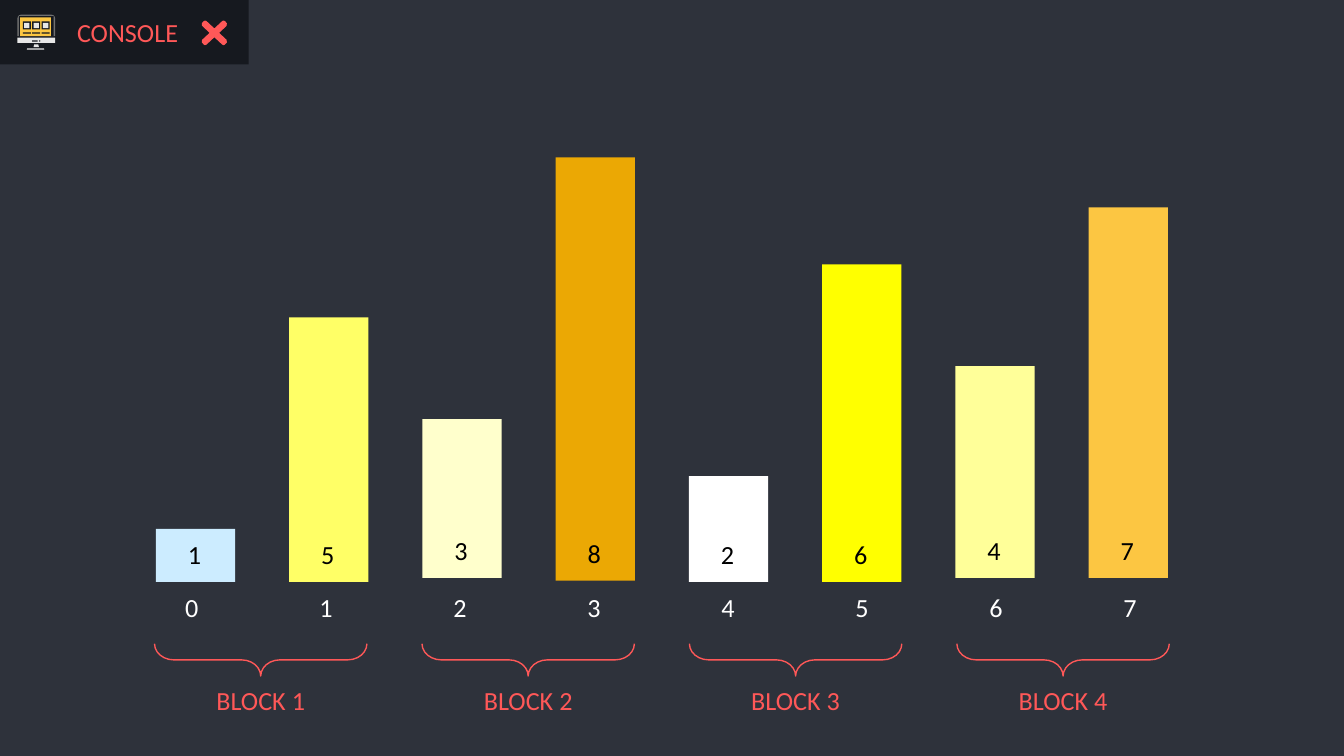
from pptx import Presentation
from pptx.dml.color import RGBColor
from pptx.enum.shapes import MSO_SHAPE
from pptx.enum.text import MSO_ANCHOR, MSO_AUTO_SIZE, PP_ALIGN
from pptx.util import Inches, Pt

RECTANGLE, BRACE = MSO_SHAPE.RECTANGLE, MSO_SHAPE.LEFT_BRACE
TRAPEZOID, OVAL = MSO_SHAPE.TRAPEZOID, MSO_SHAPE.OVAL
CROSS, ROUND_TOP = MSO_SHAPE.MATH_MULTIPLY, MSO_SHAPE.ROUND_2_SAME_RECTANGLE
CENTER, LEFT, MIDDLE, TOP = PP_ALIGN.CENTER, PP_ALIGN.LEFT, MSO_ANCHOR.MIDDLE, MSO_ANCHOR.TOP
FIXED_SIZE = MSO_AUTO_SIZE.NONE

BACKGROUND = RGBColor(0x2E, 0x32, 0x3B)
DARK = RGBColor(0x16, 0x19, 0x1F)
RED = RGBColor(0xFF, 0x58, 0x58)
GREY = RGBColor(0x70, 0x70, 0x70)
LIGHT = RGBColor(0xE7, 0xE7, 0xE7)
AMBER = RGBColor(0xFC, 0xC6, 0x42)
BLACK = RGBColor(0x00, 0x00, 0x00)
WHITE = RGBColor(0xFF, 0xFF, 0xFF)

# value, bottom edge, colour
BARS = [
    (1, 4.33, RGBColor(0xCC, 0xEC, 0xFF)),
    (5, 4.33, RGBColor(0xFF, 0xFF, 0x66)),
    (3, 4.3, RGBColor(0xFF, 0xFF, 0xCC)),
    (8, 4.32, RGBColor(0xEB, 0xA8, 0x04)),
    (2, 4.33, WHITE),
    (6, 4.33, RGBColor(0xFF, 0xFF, 0x00)),
    (4, 4.3, RGBColor(0xFF, 0xFF, 0x99)),
    (7, 4.3, AMBER),
]
BAR_LEFT, BAR_STEP, BAR_WIDTH = 1.16, 6.94 / 7, 0.59
UNIT_HEIGHT = 3.15 / 8
INDEX_LEFT, INDEX_STEP = 1.28, 6.98 / 7
BLOCK_STEP = 1.99

# preset, left, top, width, height, colour
ICON_PARTS = [
    (ROUND_TOP, 0.13, 0.11, 0.28, 0.16, GREY),
    (RECTANGLE, 0.14, 0.12, 0.26, 0.15, DARK),
    (RECTANGLE, 0.15, 0.13, 0.23, 0.14, AMBER),
    (RECTANGLE, 0.13, 0.28, 0.28, 0.04, LIGHT),
    (TRAPEZOID, 0.25, 0.33, 0.04, 0.02, LIGHT),
    (TRAPEZOID, 0.2, 0.36, 0.13, 0.01, LIGHT),
    (RECTANGLE, 0.24, 0.3, 0.04, 0.01, DARK),
    (OVAL, 0.29, 0.3, 0.01, 0.01, DARK),
]
for left in (0.17, 0.24, 0.31):
    ICON_PARTS += [
        (RECTANGLE, left, 0.16, 0.06, 0.06, DARK),
        (RECTANGLE, left + 0.01, 0.17, 0.04, 0.04, LIGHT),
        (RECTANGLE, left, 0.24, 0.06, 0.01, DARK),
    ]


def add_filled(preset, left, top, width, height, color):
    shape = slide.shapes.add_shape(
        preset, Inches(left), Inches(top), Inches(width), Inches(height))
    shape.shadow.inherit = False
    shape.line.fill.background()
    shape.fill.solid()
    shape.fill.fore_color.rgb = color
    return shape


def write_label(box, text, color, align=LEFT, anchor=TOP):
    frame = box.text_frame
    frame_format = {"word_wrap": True, "auto_size": FIXED_SIZE,
                    "vertical_anchor": anchor}
    for name, value in frame_format.items():
        setattr(frame, name, value)
    para = frame.paragraphs[0]
    para.alignment = align
    span = para.add_run()
    span.text = text
    for name, value in {"name": "Calibri", "size": Pt(14)}.items():
        setattr(span.font, name, value)
    span.font.color.rgb = color


deck = Presentation()
# Widescreen 16:9
deck.slide_width = Inches(10)
deck.slide_height = Inches(10 * 9 / 16)
slide = deck.slides.add_slide(deck.slide_layouts[5])
slide.background.fill.solid()
slide.background.fill.fore_color.rgb = BACKGROUND

# Console tab
title = slide.shapes.title
tab_position = {"left": 0, "top": 0, "width": 1.85, "height": 0.48}
for name, value in tab_position.items():
    setattr(title, name, Inches(value))
title.fill.solid()
title.fill.fore_color.rgb = DARK
write_label(title, "CONSOLE", RED, CENTER, MIDDLE)
title.text_frame.margin_left = Inches(0.15)

for part in ICON_PARTS:
    add_filled(*part)

close_cross = add_filled(CROSS, 1.45, 0.11, 0.29, 0.27, RED)
close_cross.adjustments[0] = 0.076
close_cross.line.color.rgb = RED
close_cross.line.width = Pt(2)

# Bars with their values and indexes
for index, (value, bottom, color) in enumerate(BARS):
    left = BAR_LEFT + index * BAR_STEP
    height = value * UNIT_HEIGHT
    add_filled(RECTANGLE, left, bottom - height, BAR_WIDTH, height, color)
    index_left = INDEX_LEFT + index * INDEX_STEP
    for text, text_left, top, text_color in (
            (value, left + 0.14, bottom - 0.37, BLACK),
            (index, index_left, 4.35, WHITE)):
        box = slide.shapes.add_textbox(
            Inches(text_left), Inches(top), Inches(0.31), Inches(0.34))
        write_label(box, str(text), text_color)

# Blocks of two bars
for block in range(4):
    offset = block * BLOCK_STEP
    brace = slide.shapes.add_shape(
        BRACE, Inches(1.82 + offset), Inches(4.12), Inches(0.24), Inches(1.58))
    brace.rotation = 270
    brace.adjustments[0] = 0.595
    brace.shadow.inherit = False
    brace.fill.background()
    brace.line.color.rgb = RED
    brace.line.width = Pt(0.75)
    box = slide.shapes.add_textbox(
        Inches(1.38 + offset), Inches(5.03), Inches(1.12), Inches(0.36))
    write_label(box, f"BLOCK {block + 1}", RED, CENTER, MIDDLE)

deck.save("out.pptx")
